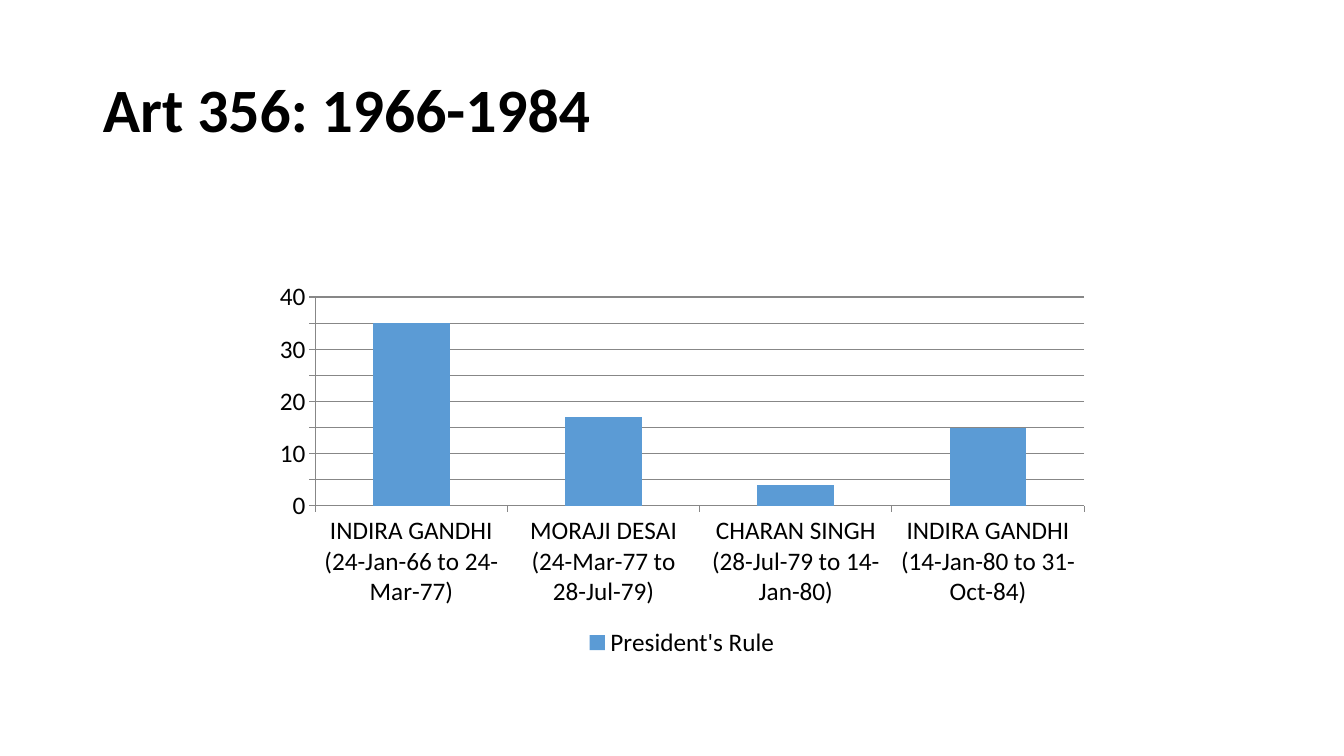
from dataclasses import dataclass

from pptx import Presentation
from pptx.chart.data import CategoryChartData
from pptx.dml.color import RGBColor
from pptx.enum.chart import XL_CHART_TYPE, XL_LEGEND_POSITION, XL_TICK_MARK
from pptx.enum.text import MSO_ANCHOR
from pptx.util import Emu, Pt


@dataclass(frozen=True)
class Theme:
    font: str = "Calibri"
    ink: RGBColor = RGBColor(0, 0, 0)
    bar: RGBColor = RGBColor(0x5B, 0x9B, 0xD5)
    rule: RGBColor = RGBColor(0x87, 0x87, 0x87)
    title_size: Pt = Pt(44)
    chart_size: Pt = Pt(18)
    rule_width: Pt = Pt(0.75)


def px(length):
    return Emu(round(length * 914400 / 100.8))


class SlideBuilder:
    def __init__(self, slide, theme):
        self.slide = slide
        self.theme = theme

    def style_font(self, font, size):
        font.name = self.theme.font
        font.size = size
        font.color.rgb = self.theme.ink

    def style_rule(self, line):
        line.color.rgb = self.theme.rule
        line.width = self.theme.rule_width

    def title(self, text, *box):
        frame = self.slide.shapes.add_textbox(*map(px, box)).text_frame
        frame.word_wrap = True
        frame.vertical_anchor = MSO_ANCHOR.MIDDLE
        heading = frame.paragraphs[0]
        heading.text = text
        heading.line_spacing = 0.9
        heading.font.bold = True
        self.style_font(heading.font, self.theme.title_size)

    def column_chart(self, series_name, counts, *box):
        data = CategoryChartData()
        data.categories = [label for label, _ in counts]
        data.add_series(series_name, [count for _, count in counts])
        chart = self.slide.shapes.add_chart(
            XL_CHART_TYPE.COLUMN_CLUSTERED, *map(px, box), data
        ).chart
        self.style_font(chart.font, self.theme.chart_size)
        chart.has_title = False
        chart.has_legend = True
        chart.legend.position = XL_LEGEND_POSITION.BOTTOM
        chart.legend.include_in_layout = False

        for axis in (chart.category_axis, chart.value_axis):
            axis.major_tick_mark = XL_TICK_MARK.OUTSIDE
            axis.minor_tick_mark = XL_TICK_MARK.NONE
            self.style_rule(axis.format.line)
        chart.value_axis.has_major_gridlines = True
        self.style_rule(chart.value_axis.major_gridlines.format.line)

        columns = chart.plots[0]
        columns.gap_width = 150
        columns.vary_by_categories = False
        fill = columns.series[0].format.fill
        fill.solid()
        fill.fore_color.rgb = self.theme.bar


def main():
    deck = Presentation()
    deck.slide_width, deck.slide_height = px(1344), px(756)
    builder = SlideBuilder(deck.slides.add_slide(deck.slide_layouts[6]), Theme())
    builder.title("Art 356: 1966-1984", 93, 40, 1159, 146)
    terms = [
        ("INDIRA GANDHI\n(24-Jan-66 to 24-Mar-77)", 35),
        ("MORAJI DESAI\n(24-Mar-77 to 28-Jul-79)", 17),
        ("CHARAN SINGH\n(28-Jul-79 to 14-Jan-80)", 4),
        ("INDIRA GANDHI\n(14-Jan-80 to 31-Oct-84)", 15),
    ]
    builder.column_chart("President's Rule", terms, 263, 274, 838, 389)
    deck.save("out.pptx")


if __name__ == "__main__":
    main()
